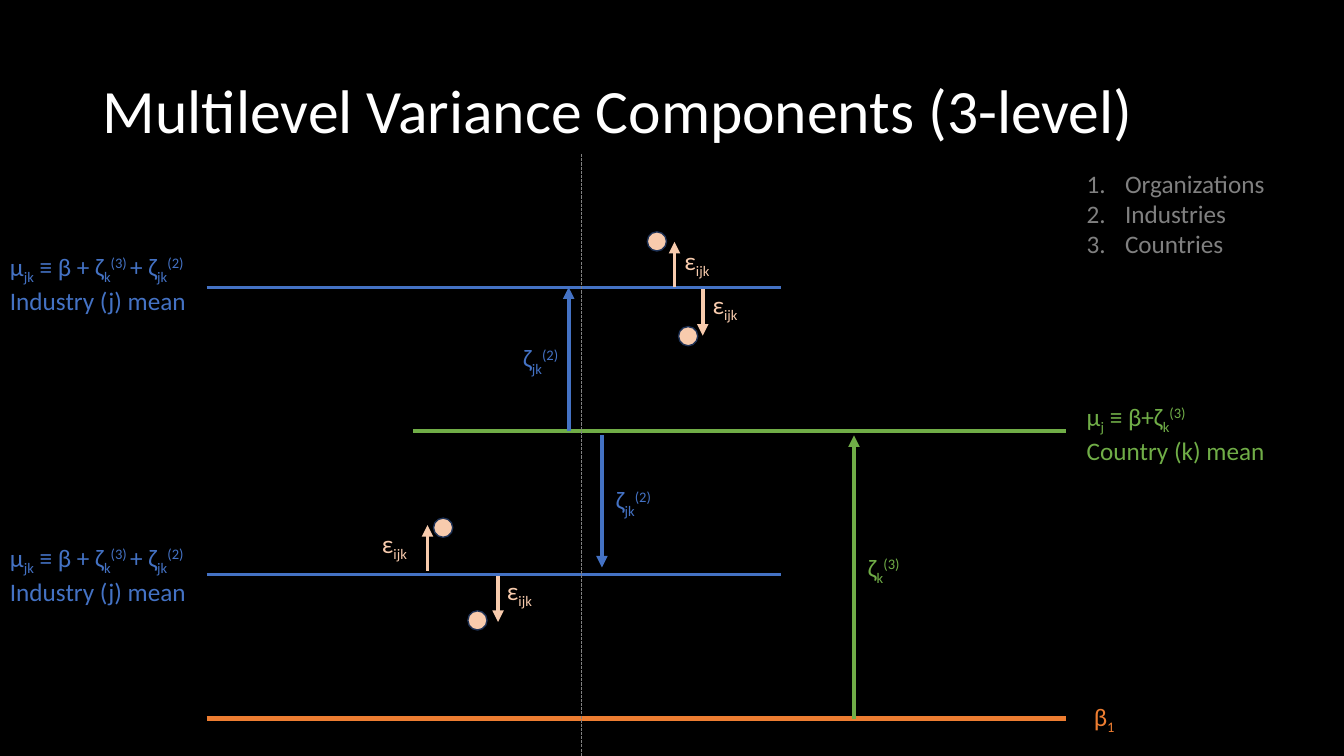
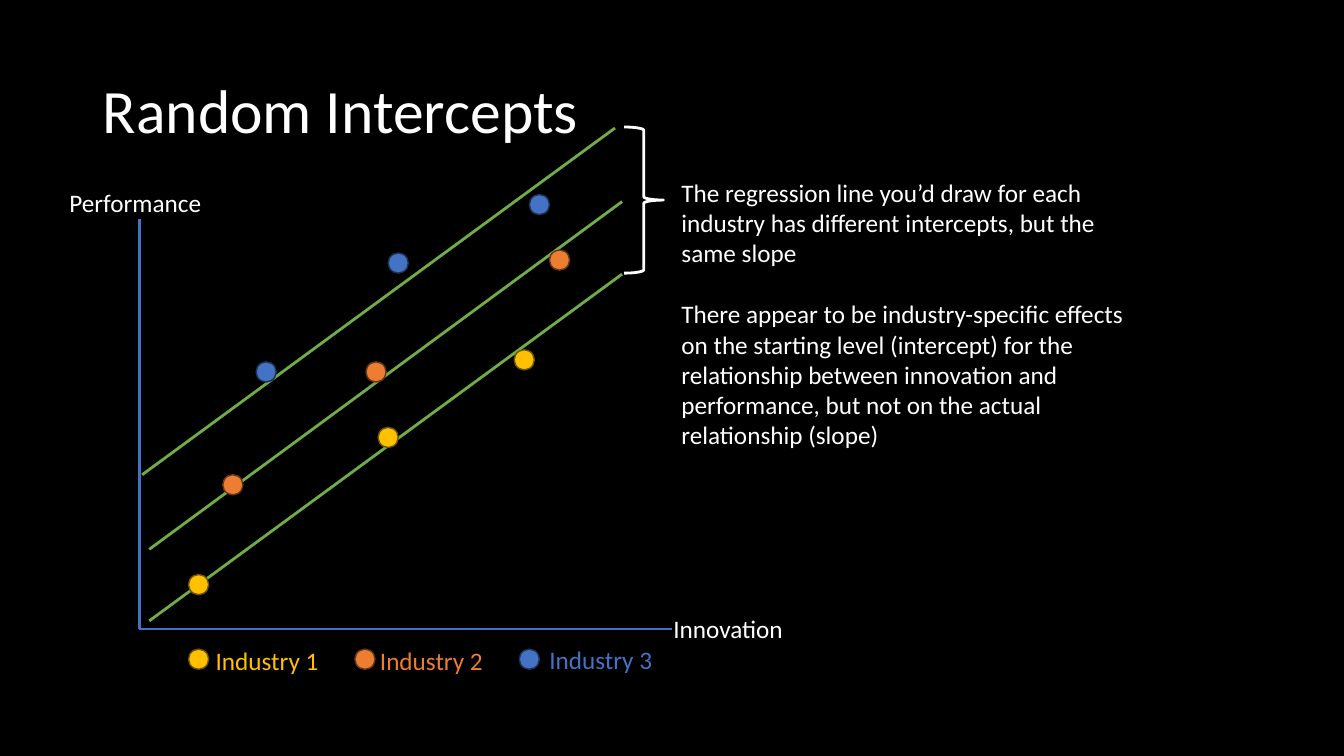
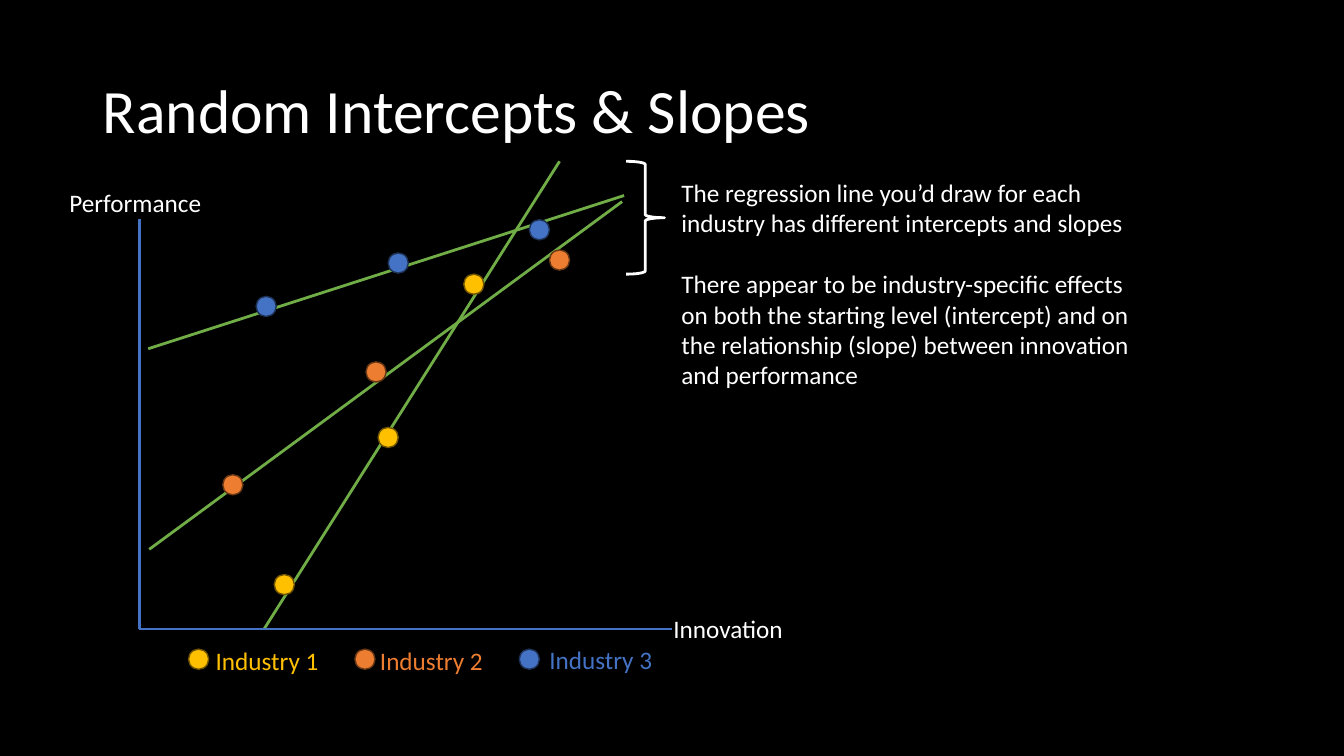
"""Build three slides on multilevel variance components, random intercepts and random slopes."""
from lxml import etree
from pptx import Presentation
from pptx.dml.color import RGBColor
from pptx.enum import dml, shapes, text
from pptx.oxml import ns
from pptx.util import Inches, Pt

BLACK = RGBColor(0x00, 0x00, 0x00)
WHITE = RGBColor(0xFF, 0xFF, 0xFF)
GRAY = RGBColor(0x80, 0x80, 0x80)
GREEN = RGBColor(0x70, 0xAD, 0x47)
BLUE = RGBColor(0x44, 0x72, 0xC4)
DARK_BLUE = RGBColor(0x1E, 0x32, 0x56)
ORANGE = RGBColor(0xED, 0x7D, 0x31)
DARK_ORANGE = RGBColor(0x68, 0x37, 0x15)
GOLD = RGBColor(0xFF, 0xC0, 0x00)
DARK_GOLD = RGBColor(0x70, 0x54, 0x00)
PEACH = RGBColor(0xF8, 0xCB, 0xAD)
FONT = "Calibri"
BASELINES = {"_": "-25000", "^": "30000"}


def add_line(slide, start, end, color, width, arrow=False):
    """Draw a straight line, with an optional arrowhead at its end."""
    line = slide.shapes.add_connector(
        shapes.MSO_CONNECTOR.STRAIGHT, *[Inches(value) for value in (*start, *end)])
    line.line.color.rgb = color
    line.line.width = Pt(width)
    if arrow:
        etree.SubElement(line.line._get_or_add_ln(), ns.qn("a:tailEnd"), type="triangle")
    etree.SubElement(line._element.spPr, ns.qn("a:effectLst"))
    return line


def add_text(slide, left, top, width, height, lines, color):
    """Add a text box; | splits runs, and a leading _ or ^ lowers or raises one."""
    box = slide.shapes.add_textbox(*[Inches(value) for value in (left, top, width, height)])
    frame = box.text_frame
    frame.word_wrap = True
    frame.auto_size = text.MSO_AUTO_SIZE.SHAPE_TO_FIT_TEXT
    frame.text = "\n".join(lines)
    for paragraph, line in zip(frame.paragraphs, lines):
        paragraph.clear()
        for piece in line.split("|"):
            run = paragraph.add_run()
            run.text = piece.lstrip("_^")
            run.font.name = FONT
            run.font.size = Pt(18)
            run.font.color.rgb = color
            if piece[0] in BASELINES:
                run._r.get_or_add_rPr().set("baseline", BASELINES[piece[0]])
    return box


presentation = Presentation()
presentation.slide_width = Inches(13.33)
presentation.slide_height = Inches(7.5)
background = presentation.slide_master.background.fill
background.solid()
background.fore_color.rgb = BLACK

slides = []
for heading in ("Multilevel Variance Components (3-level)", "Random Intercepts",
                "Random Intercepts & Slopes"):
    slide = presentation.slides.add_slide(presentation.slide_layouts[5])
    title = slide.shapes.title
    title.left, title.top = Inches(0.92), Inches(0.4)
    title.width, title.height = Inches(11.5), Inches(1.45)
    title.text_frame.text = heading
    title.text_frame.auto_size = text.MSO_AUTO_SIZE.NONE
    title.text_frame.vertical_anchor = text.MSO_ANCHOR.MIDDLE
    paragraph = title.text_frame.paragraphs[0]
    paragraph.alignment = text.PP_ALIGN.LEFT
    paragraph.line_spacing = 0.9
    font = paragraph.runs[0].font
    font.name, font.size, font.color.rgb = FONT, Pt(44), WHITE
    slides.append(slide)

variance = slides[0]
dots = [(variance, x, y, 0.19, PEACH, DARK_BLUE)
        for x, y in ((6.42, 2.3), (6.73, 3.24), (4.3, 5.14), (4.64, 6.06))]

for left, right, y, color, width in (
        (2.05, 10.57, 7.13, ORANGE, 3.5), (4.1, 10.57, 4.28, GREEN, 2.75),
        (2.05, 7.75, 5.7, BLUE, 2.5), (2.05, 7.75, 2.85, BLUE, 2.5)):
    add_line(variance, (left, y), (right, y), color, width)

for x, start, end, color, label, label_left, label_top in (
        (8.47, 7.13, 4.32, GREEN, "ζ|_k|^(3)", 8.51, 5.43),
        (5.64, 4.28, 2.85, BLUE, "ζ|_jk|^(2)", 5.09, 3.35),
        (5.97, 4.32, 5.63, BLUE, "ζ|_jk|^(2)", 6.01, 4.76),
        (6.69, 2.85, 2.4, PEACH, "ε|_ijk", 6.69, 2.38),
        (6.97, 2.87, 3.33, PEACH, "ε|_ijk", 6.97, 2.82),
        (4.24, 5.66, 5.21, PEACH, "ε|_ijk", 3.69, 5.19),
        (4.94, 5.71, 6.17, PEACH, "ε|_ijk", 4.93, 5.66)):
    add_line(variance, (x, start), (x, end), color, 2.75, arrow=True)
    add_text(variance, label_left, label_top, 0.68, 0.4, [label], color)

for top in (2.44, 5.33):
    add_text(variance, 0, top, 2.41, 0.71,
             ["μ|_jk| ≡ β + ζ|_k|^(3) |+ ζ|_jk|^(2)", "Industry (j) mean"], BLUE)
add_text(variance, 10.68, 3.93, 2.52, 0.71,
         ["μ|_j| ≡ β+ζ|_k|^(3)", "Country (k) mean"], GREEN)
add_text(variance, 10.75, 6.91, 2.45, 0.4, ["β|_1"], ORANGE)

divider = add_line(variance, (5.77, 1.53), (5.77, 7.5), GRAY, 0.75)
divider.line.dash_style = dml.MSO_LINE.SQUARE_DOT

levels = add_text(variance, 10.68, 1.62, 2.52, 1.01,
                  ["Organizations", "Industries", "Countries"], GRAY)
for paragraph in levels.text_frame.paragraphs:
    properties = paragraph._p.get_or_add_pPr()
    properties.set("marL", str(Inches(0.38)))
    properties.set("indent", str(-Inches(0.38)))
    etree.SubElement(properties, ns.qn("a:buAutoNum"), type="arabicPeriod")

industries = (
    ("Industry 1", GOLD, DARK_GOLD, 1.87, 2.04, 6.35),
    ("Industry 2", ORANGE, DARK_ORANGE, 3.52, 3.67, 6.35),
    ("Industry 3", BLUE, DARK_BLUE, 5.15, 5.35, 6.34),
)
middle_trend = ((6.17, 2), (1.48, 5.45))
middle_points = ((2.21, 4.71), (3.63, 3.59), (5.45, 2.48))
plots = (
    (slides[1],
     (((6.17, 2.72), (1.48, 6.16)), ((6.1, 1.27), (1.41, 4.71)), middle_trend),
     (((1.87, 5.7), (3.75, 4.24), (5.1, 3.47)), middle_points,
      ((2.54, 3.59), (3.85, 2.51), (5.25, 1.93))),
     (6.19, 1.26, 0.39, 1.45), 2.83,
     ["The regression line you’d draw for each industry has different intercepts, "
      "but the same slope",
      "There appear to be industry-specific effects on the starting level (intercept) for the "
      "relationship between innovation and performance, but not on the actual "
      "relationship (slope)"]),
    (slides[2],
     (((5.55, 1.6), (2.62, 6.24)), ((6.19, 1.94), (1.47, 3.46)), middle_trend),
     (((2.72, 5.7), (3.75, 4.24), (4.6, 2.72)), middle_points,
      ((2.54, 2.94), (3.85, 2.51), (5.25, 2.18))),
     (6.21, 1.6, 0.38, 1.12), 2.22,
     ["The regression line you’d draw for each industry has different intercepts and slopes",
      "There appear to be industry-specific effects on both the starting level (intercept) and "
      "on the relationship (slope) between innovation and performance"]),
)

for slide, trends, points, brace_box, notes_height, notes in plots:
    for start, end in trends:
        add_line(slide, start, end, GREEN, 2)
    for end in ((1.38, 2.17), (6.67, 6.24)):
        add_line(slide, (1.38, 6.24), end, BLUE, 2)
    add_text(slide, 0.59, 1.81, 1.61, 0.4, ["Performance"], WHITE)
    add_text(slide, 6.58, 6.04, 1.32, 0.4, ["Innovation"], WHITE)

    brace = slide.shapes.add_shape(
        shapes.MSO_SHAPE.RIGHT_BRACE, *[Inches(value) for value in brace_box])
    brace.shadow.inherit = False
    brace.fill.background()
    brace.line.color.rgb = WHITE
    brace.line.width = Pt(2)
    explanation = add_text(slide, 6.66, 1.71, 4.69, notes_height, notes, WHITE)
    explanation.text_frame.paragraphs[1].space_before = Pt(22)

    for industry, industry_points in zip(industries, points):
        name, color, outline, key_left, label_left, label_top = industry
        for x, y in (*industry_points, (key_left, 6.44)):
            dots.append((slide, x, y, 0.2, color, outline))
        add_text(slide, label_left, label_top, 1.32, 0.4, [name], color)

for slide, left, top, size, color, outline in dots:
    dot = slide.shapes.add_shape(
        shapes.MSO_SHAPE.OVAL, Inches(left), Inches(top), Inches(size), Inches(size))
    dot.shadow.inherit = False
    dot.fill.solid()
    dot.fill.fore_color.rgb = color
    dot.line.color.rgb = outline
    dot.line.width = Pt(1)

presentation.save("out.pptx")
